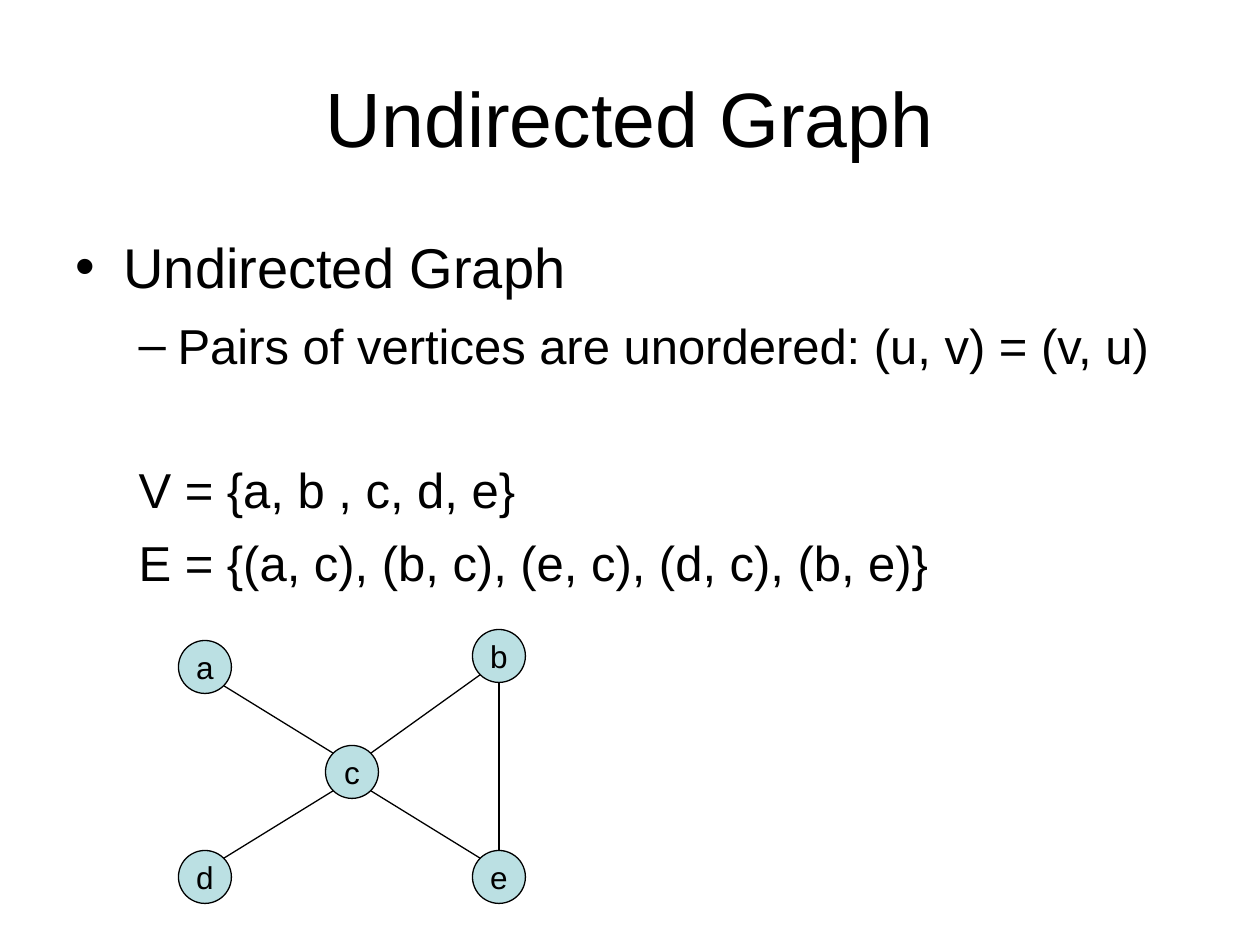
from math import sqrt

from lxml import etree
from pptx import Presentation
from pptx.dml.color import RGBColor
from pptx.enum.shapes import MSO_CONNECTOR, MSO_SHAPE
from pptx.enum.text import MSO_ANCHOR, MSO_AUTO_SIZE, PP_ALIGN
from pptx.oxml.ns import qn
from pptx.util import Emu, Inches, Pt

CENTER, LEFT = PP_ALIGN.CENTER, PP_ALIGN.LEFT
MIDDLE, TOP = MSO_ANCHOR.MIDDLE, MSO_ANCHOR.TOP
NO_AUTOFIT = MSO_AUTO_SIZE.NONE
ELLIPSE, STRAIGHT = MSO_SHAPE.OVAL, MSO_CONNECTOR.STRAIGHT

PX_PER_INCH = 126
DIAMETER = 53

# Centre of each vertex, in px
VERTICES = {
    "a": (205, 667),
    "b": (499, 656),
    "c": (352, 772),
    "d": (205, 877),
    "e": (499, 877),
}
EDGES = ["ca", "cb", "ce", "cd", "eb"]

# Text and its format
BODY_LINES = [
    ("Undirected Graph", dict(size=32, bullet="•", margin=0.38, indent=-0.38)),
    ("Pairs of vertices are unordered: (u, v) = (v, u)",
     dict(level=1, bullet="–", before=9)),
    ("V = {a, b , c, d, e}", dict(level=1, before=49)),
    ("E = {(a, c), (b, c), (e, c), (d, c), (b, e)}", dict(level=1, before=8)),
]


def px(length):
    return Emu(round(length * 914400 / PX_PER_INCH))


def color(value):
    return RGBColor.from_string(value)


def write(paragraph, text, size=28, align=LEFT, level=0, before=0,
          bullet=None, margin=0.81, indent=-0.31):
    paragraph.text = text
    paragraph.alignment = align
    paragraph.level = level
    properties = paragraph._p.get_or_add_pPr()
    if align == LEFT:
        properties.set("marL", str(Inches(margin)))
        properties.set("indent", str(Inches(indent)))
    if bullet:
        etree.SubElement(properties, qn("a:buChar")).set("char", bullet)
    else:
        etree.SubElement(properties, qn("a:buNone"))
    paragraph.space_before = Pt(before)
    font = paragraph.runs[0].font
    font.name = GraphSlide.font
    font.size = Pt(size)
    font.color.rgb = color(GraphSlide.ink)


class GraphSlide:
    font = "Arial"
    ink = "000000"
    vertex_fill = "BBE0E3"
    line_width = 0.75

    def __init__(self, presentation):
        self.slide = presentation.slides.add_slide(presentation.slide_layouts[1])

    def placeholder(self, index, box, anchor, lines):
        shape = self.slide.placeholders[index]
        shape.left, shape.top, shape.width, shape.height = map(px, box)
        frame = shape.text_frame
        frame.auto_size = NO_AUTOFIT
        frame.word_wrap = True
        frame.vertical_anchor = anchor
        for number, (text, style) in enumerate(lines):
            paragraph = frame.add_paragraph() if number else frame.paragraphs[0]
            write(paragraph, text, **style)
        return shape

    def outline(self, line):
        line.color.rgb = color(self.ink)
        line.width = Pt(self.line_width)

    def vertex(self, name):
        x, y = VERTICES[name]
        half = DIAMETER / 2
        shape = self.slide.shapes.add_shape(
            ELLIPSE, px(x - half), px(y - half), px(DIAMETER), px(DIAMETER))
        shape.shadow.inherit = False
        shape.fill.solid()
        shape.fill.fore_color.rgb = color(self.vertex_fill)
        self.outline(shape.line)
        frame = shape.text_frame
        frame.word_wrap = False
        frame.vertical_anchor = MIDDLE
        write(frame.paragraphs[0], name, size=18, align=CENTER)

    def edge(self, start, end):
        # Slanted edges meet the circles at 45 degrees, upright ones at the poles
        (x1, y1), (x2, y2) = VERTICES[start], VERTICES[end]
        across = (x2 > x1) - (x2 < x1)
        down = (y2 > y1) - (y2 < y1)
        reach = DIAMETER / 2 / sqrt(abs(across) + abs(down))
        connector = self.slide.shapes.add_connector(
            STRAIGHT,
            px(x1 + across * reach), px(y1 + down * reach),
            px(x2 - across * reach), px(y2 - down * reach))
        self.outline(connector.line)
        etree.SubElement(connector._element.spPr, qn("a:effectLst"))


def main():
    presentation = Presentation()
    presentation.slide_width = Inches(10)
    presentation.slide_height = Inches(7.5)
    page = GraphSlide(presentation)

    # Title and definition
    page.placeholder(0, (63, 38, 1134, 158), MIDDLE,
                     [("Undirected Graph", dict(size=44, align=CENTER))])
    body = page.placeholder(1, (63, 221, 1197, 624), TOP, BODY_LINES)
    body.text_frame.margin_top = px(11)

    # Example graph
    for name in VERTICES:
        page.vertex(name)
    for start, end in EDGES:
        page.edge(start, end)

    presentation.save("out.pptx")


if __name__ == "__main__":
    main()
